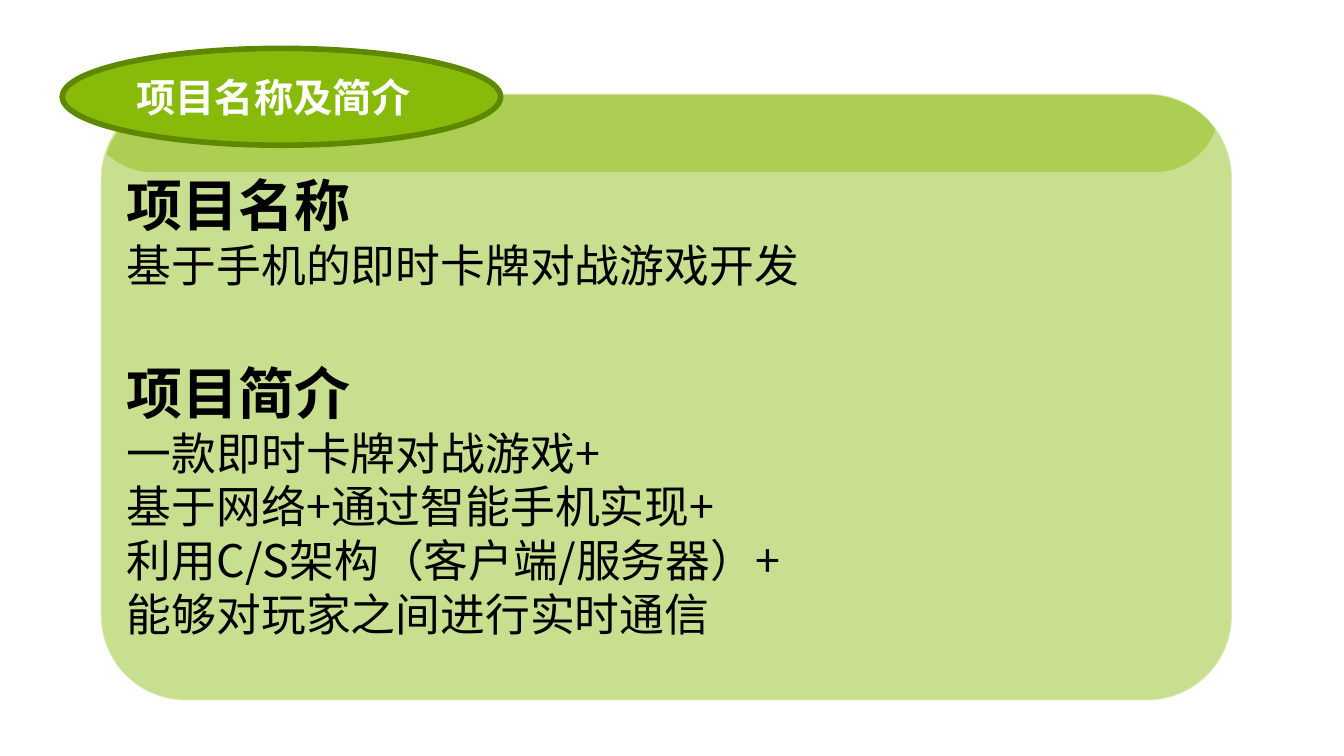
import pptx
import pptx.util
import pptx.dml.color
import pptx.enum.shapes
import pptx.enum.text
import pptx.oxml
import pptx.oxml.ns

Cm, Pt = pptx.util.Cm, pptx.util.Pt
Kind = pptx.enum.shapes.MSO_SHAPE
NS = pptx.oxml.ns.nsdecls("a")


def color(code):
    return pptx.dml.color.RGBColor.from_string(code)


def fade(fill, percent):
    """Set the opacity of a solid fill."""
    tint = fill._xPr.find(".//" + pptx.oxml.ns.qn("a:srgbClr"))
    tint.append(pptx.oxml.parse_xml(f'<a:alpha {NS} val="{percent * 1000}"/>'))


def curve(points, steps=16):
    """Sample a cubic curve given by its four control points."""
    for step in range(1, steps + 1):
        t = step / steps
        s = 1 - t
        parts = (s ** 3, 3 * s * s * t, 3 * s * t * t, t ** 3)
        yield tuple(sum(w * p[axis] for w, p in zip(parts, points)) for axis in (0, 1))


class Deck:
    green, edge, white, black = "88BA09", "5D8800", "FFFFFF", "000000"
    body, head = "Noto Sans CJK SC", "Calibri"

    def __init__(self, width, height):
        self.file = pptx.Presentation()
        self.file.slide_width, self.file.slide_height = Cm(width), Cm(height)
        self.slide = self.file.slides.add_slide(self.file.slide_layouts[5])
        self.shapes = self.slide.shapes

    def paint(self, shape, fill=None, line=None, width=1, solid=100, clear=100):
        """Set fill and line with their opacities in percent."""
        shape.shadow.inherit = False
        if fill:
            shape.fill.solid()
            shape.fill.fore_color.rgb = color(fill)
            fade(shape.fill, solid)
        else:
            shape.fill.background()
        if line:
            shape.line.color.rgb = color(line)
            shape.line.width = Pt(width)
            fade(shape.line.fill, clear)
        else:
            shape.line.fill.background()

    def shape(self, kind, box, adjust=None, **style):
        shape = self.shapes.add_shape(kind, *map(Cm, box))
        if adjust is not None:
            shape.adjustments[0] = adjust
        self.paint(shape, **style)

    def outline(self, start, parts, **style):
        """Draw a closed outline; a part is one point or three curve points."""
        points = [start]
        for part in parts:
            points += curve([points[-1], *part]) if len(part) == 3 else part
        form = self.shapes.build_freeform(*map(Cm, start), scale=1.0)
        form.add_line_segments([(Cm(x), Cm(y)) for x, y in points[1:]], close=True)
        self.paint(form.convert_to_shape(), **style)

    def font(self, para, name, size, tint, bold):
        font = para.font
        font.name, font.size, font.bold = name, Pt(size), bold
        font.color.rgb = color(tint)
        font._element.find(pptx.oxml.ns.qn("a:latin")).addnext(
            pptx.oxml.parse_xml(f'<a:ea {NS} typeface="{self.body}"/>'))

    def title(self, text, box):
        title = self.shapes.title
        title.left, title.top, title.width, title.height = map(Cm, box)
        self.shapes._spTree.append(title._element)
        frame = title.text_frame
        frame.text = text
        frame.auto_size = pptx.enum.text.MSO_AUTO_SIZE.NONE
        frame.vertical_anchor = pptx.enum.text.MSO_ANCHOR.MIDDLE
        para = frame.paragraphs[0]
        para.alignment = pptx.enum.text.PP_ALIGN.LEFT
        self.font(para, self.head, 28, self.white, True)

    def text(self, groups, box):
        """Write groups of a bold heading and plain lines."""
        frame = self.shapes.add_textbox(*map(Cm, box)).text_frame
        frame.word_wrap = True
        para = frame.paragraphs[0]
        for order, group in enumerate(groups):
            for row, line in enumerate(group):
                if order or row:
                    para = frame.add_paragraph()
                size = 32 if row else 40
                para.text = line
                para.line_spacing = Pt(size * 1.2)
                if order and not row:
                    para.space_before = Pt(48)
                self.font(para, self.body, size, self.black, not row)


def main():
    deck = Deck(33.88, 19.05)
    panel = (2.54, 2.36, 28.52, 15.29)
    deck.shape(Kind.ROUNDED_RECTANGLE, panel, 0.14, fill=deck.green, solid=45)
    deck.shape(Kind.ROUNDED_RECTANGLE, panel, 0.14, line=deck.white, clear=49)
    deck.text([
        ["项目名称", "基于手机的即时卡牌对战游戏开发"],
        ["项目简介", "一款即时卡牌对战游戏+", "基于网络+通过智能手机实现+",
         "利用C/S架构（客户端/服务器）+", "能够对玩家之间进行实时通信"],
    ], (2.95, 4.16, 27.61, 12.12))
    deck.outline((4.75, 2.39), [
        [(28.93, 2.39)],
        [(29.51, 2.39), (30.07, 2.64), (30.45, 3.02)],
        [(30.63, 3.25)],
        [(30.61, 3.35)],
        [(30.35, 3.94), (29.77, 4.34), (29.08, 4.34)],
        [(3.84, 4.34)],
        [(3.51, 4.34), (3.2, 4.24), (2.92, 4.06)],
        [(2.69, 3.89)],
        [(2.74, 3.73)],
        [(3.07, 2.95), (3.86, 2.39), (4.75, 2.39)],
    ], fill=deck.green, solid=45)
    deck.shape(Kind.OVAL, (1.57, 1.22, 11.05, 2.44), fill=deck.green, line=deck.edge, width=4)
    deck.title("项目名称及简介", (3.19, 1.22, 7.81, 2.44))
    deck.file.save("out.pptx")


if __name__ == "__main__":
    main()
